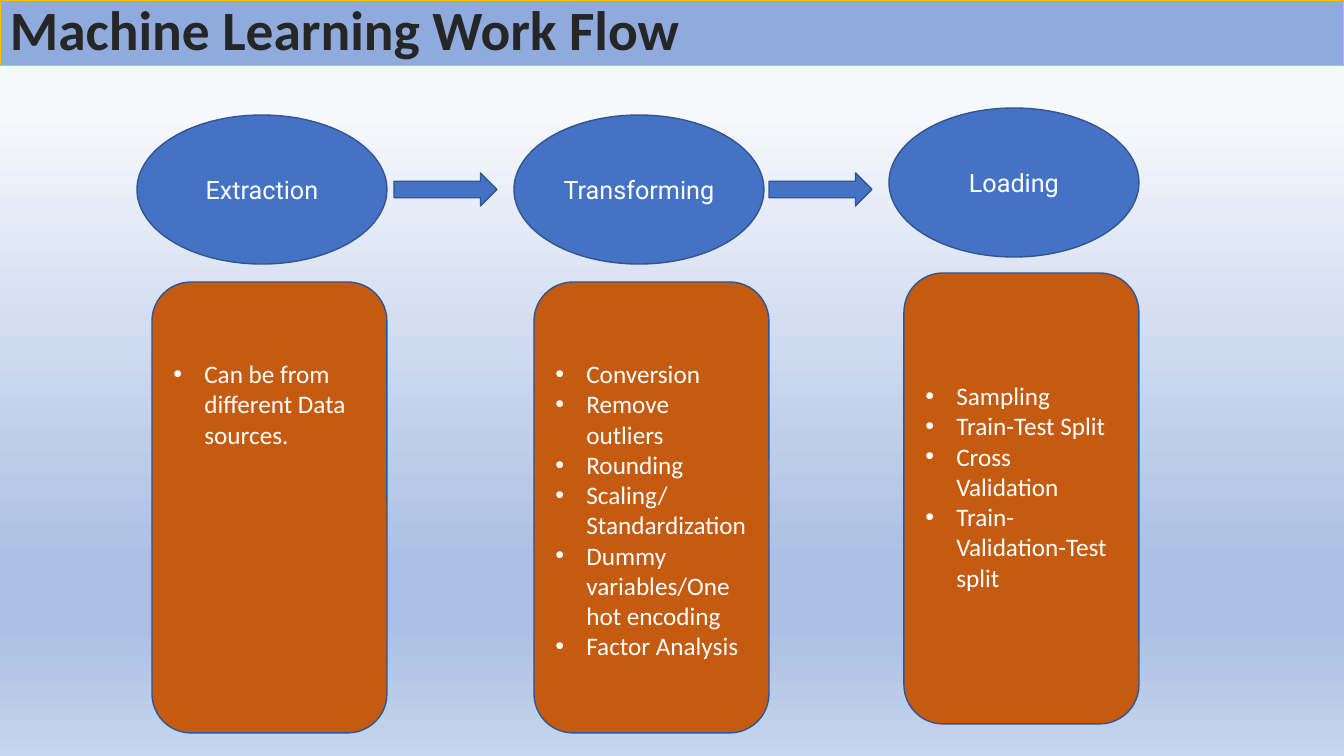
"""Build the Machine Learning Work Flow slide."""
from copy import deepcopy
from dataclasses import dataclass

from lxml.etree import SubElement
from pptx import Presentation
from pptx.dml.color import RGBColor as RGB
from pptx.enum.shapes import MSO_SHAPE as SHAPE
from pptx.enum.text import MSO_ANCHOR as ANCHOR, PP_ALIGN as ALIGN
from pptx.oxml.ns import qn
from pptx.shapes.autoshape import Shape
from pptx.slide import Slide
from pptx.text.text import _Paragraph as Paragraph
from pptx.util import Emu, Pt

COLORS = {
    "title_fill": "8FAADC", "title_line": "FFC000", "title_text": "262626",
    "stage": "4472C4", "panel": "C55A11", "outline": "325491", "text": "FFFFFF",
}
BACKGROUND = [(0.15, "F6F8FC"), (0.74, "ABC0E4"), (0.83, "ABC0E4"), (1.0, "C7D5ED")]
WIDTH, HEIGHT = 1344, 756
STAGE_W, STAGE_H = 250, 149
PANEL_W, PANEL_H = 235, 451
ARROW_Y, ARROW_W, ARROW_H = 173, 103, 33
BULLET_INDENT = 31


@dataclass(frozen=True)
class Stage:
    name: str
    x: int
    y: int
    panel_x: int
    panel_y: int
    inset: int
    steps: tuple[str, ...]


STAGES = [
    Stage("Extraction", 137, 115, 152, 282, 65, ("Can be from different Data sources.",)),
    Stage("Transforming", 514, 115, 534, 282, 65,
          ("Conversion", "Remove outliers", "Rounding", "Scaling/Standardization",
           "Dummy variables/One hot encoding", "Factor Analysis")),
    Stage("Loading", 889, 108, 904, 273, 96,
          ("Sampling", "Train-Test Split", "Cross Validation", "Train-Validation-Test split")),
]
ARROWS_X = (394, 769)


def px(n: int) -> Emu:
    return Emu(round(n * 914400 / 100.8))


def add_box(s: Slide, kind: SHAPE, x: int, y: int, w: int, h: int,
            fill: str, line: str = "outline", weight: float = 1) -> Shape:
    sp = s.shapes.add_shape(kind, px(x), px(y), px(w), px(h))
    sp.shadow.inherit = False
    sp.fill.solid()
    sp.fill.fore_color.rgb = RGB.from_string(COLORS[fill])
    sp.line.color.rgb = RGB.from_string(COLORS[line])
    sp.line.width = Pt(weight)
    sp.text_frame.word_wrap = True
    sp.text_frame.vertical_anchor = ANCHOR.MIDDLE
    return sp


def add_run(p: Paragraph, text: str, font: str = "Calibri", size: float = 18,
            color: str = "text", bold: bool = False) -> None:
    r = p.add_run()
    r.text = text
    r.font.name, r.font.size, r.font.bold = font, Pt(size), bold
    r.font.color.rgb = RGB.from_string(COLORS[color])


def set_bullet(p: Paragraph) -> None:
    pPr = p._p.get_or_add_pPr()
    pPr.set("marL", str(px(BULLET_INDENT)))
    pPr.set("indent", str(-px(BULLET_INDENT)))
    SubElement(pPr, qn("a:buFont")).set("typeface", "Arial")
    SubElement(pPr, qn("a:buChar")).set("char", "•")


def paint_background(s: Slide) -> None:
    fill = s.background.fill
    fill.gradient()
    fill.gradient_angle = 270
    stops = next(s._element.iter(qn("a:gsLst")))
    while len(stops) < len(BACKGROUND):
        stops.append(deepcopy(stops[0]))
    for stop, (position, color) in zip(fill.gradient_stops, BACKGROUND):
        stop.position = position
        stop.color.rgb = RGB.from_string(color)


def add_title(s: Slide, text: str) -> None:
    sp = add_box(s, SHAPE.RECTANGLE, 0, 0, WIDTH, 66, "title_fill", "title_line", 0.75)
    p = sp.text_frame.paragraphs[0]
    p.alignment = ALIGN.LEFT
    p.line_spacing = 0.9
    add_run(p, text, size=39.6, color="title_text", bold=True)


def add_stage(s: Slide, stage: Stage) -> None:
    sp = add_box(s, SHAPE.OVAL, stage.x, stage.y, STAGE_W, STAGE_H, "stage")
    p = sp.text_frame.paragraphs[0]
    p.alignment = ALIGN.CENTER
    add_run(p, stage.name, font="Roboto")

    sp = add_box(s, SHAPE.ROUNDED_RECTANGLE, stage.panel_x, stage.panel_y,
                 PANEL_W, PANEL_H, "panel")
    tf = sp.text_frame
    tf.vertical_anchor = ANCHOR.TOP
    tf.margin_top = px(stage.inset)
    for i, step in enumerate(stage.steps):
        p = tf.add_paragraph() if i else tf.paragraphs[0]
        p.alignment = ALIGN.LEFT
        set_bullet(p)
        add_run(p, step)


def main() -> None:
    prs = Presentation()
    prs.slide_width, prs.slide_height = px(WIDTH), px(HEIGHT)
    s = prs.slides.add_slide(prs.slide_layouts[6])
    paint_background(s)
    add_title(s, "Machine Learning Work Flow")
    for stage in STAGES:
        add_stage(s, stage)
    for x in ARROWS_X:
        add_box(s, SHAPE.RIGHT_ARROW, x, ARROW_Y, ARROW_W, ARROW_H, "stage")
    prs.save("out.pptx")


if __name__ == "__main__":
    main()
